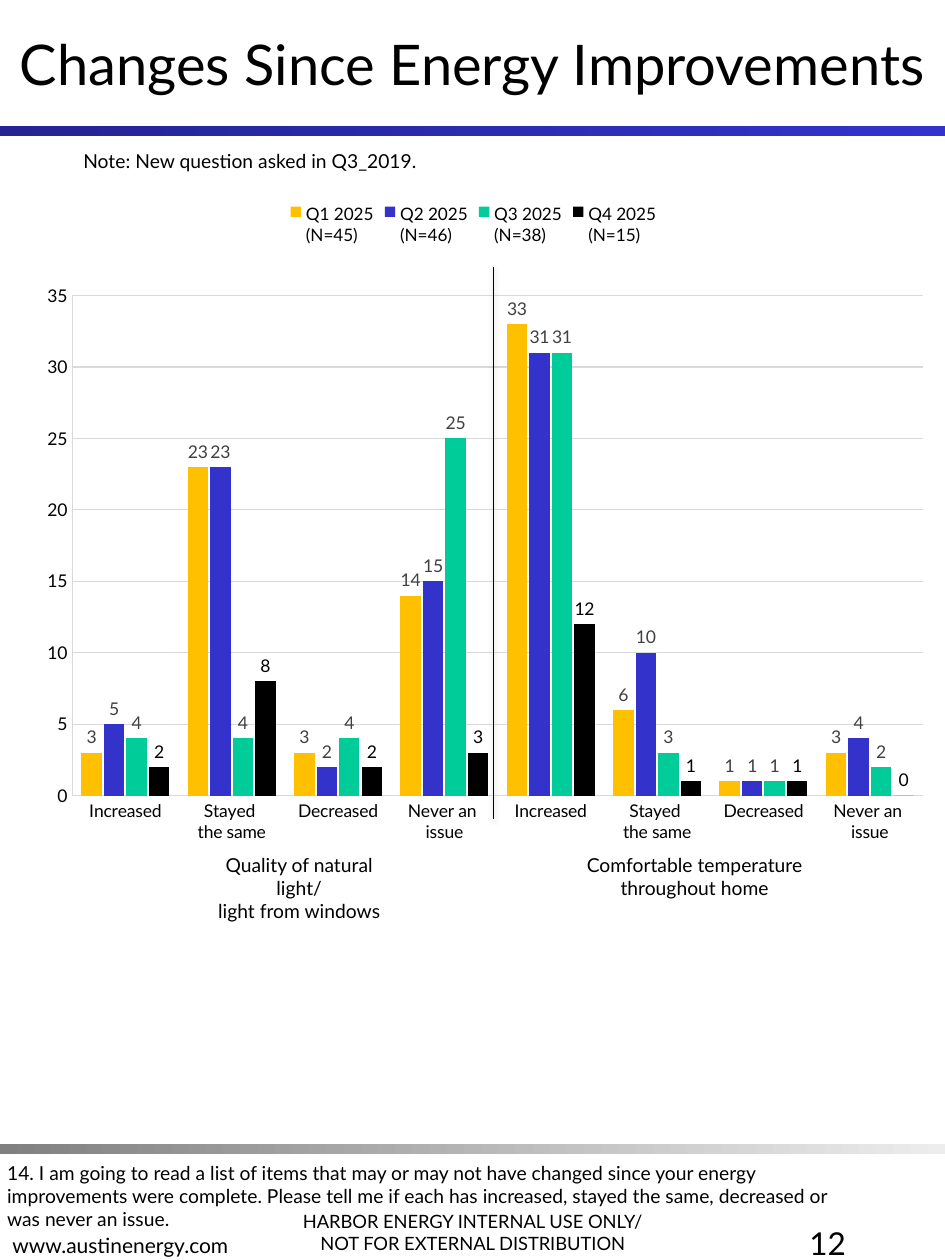
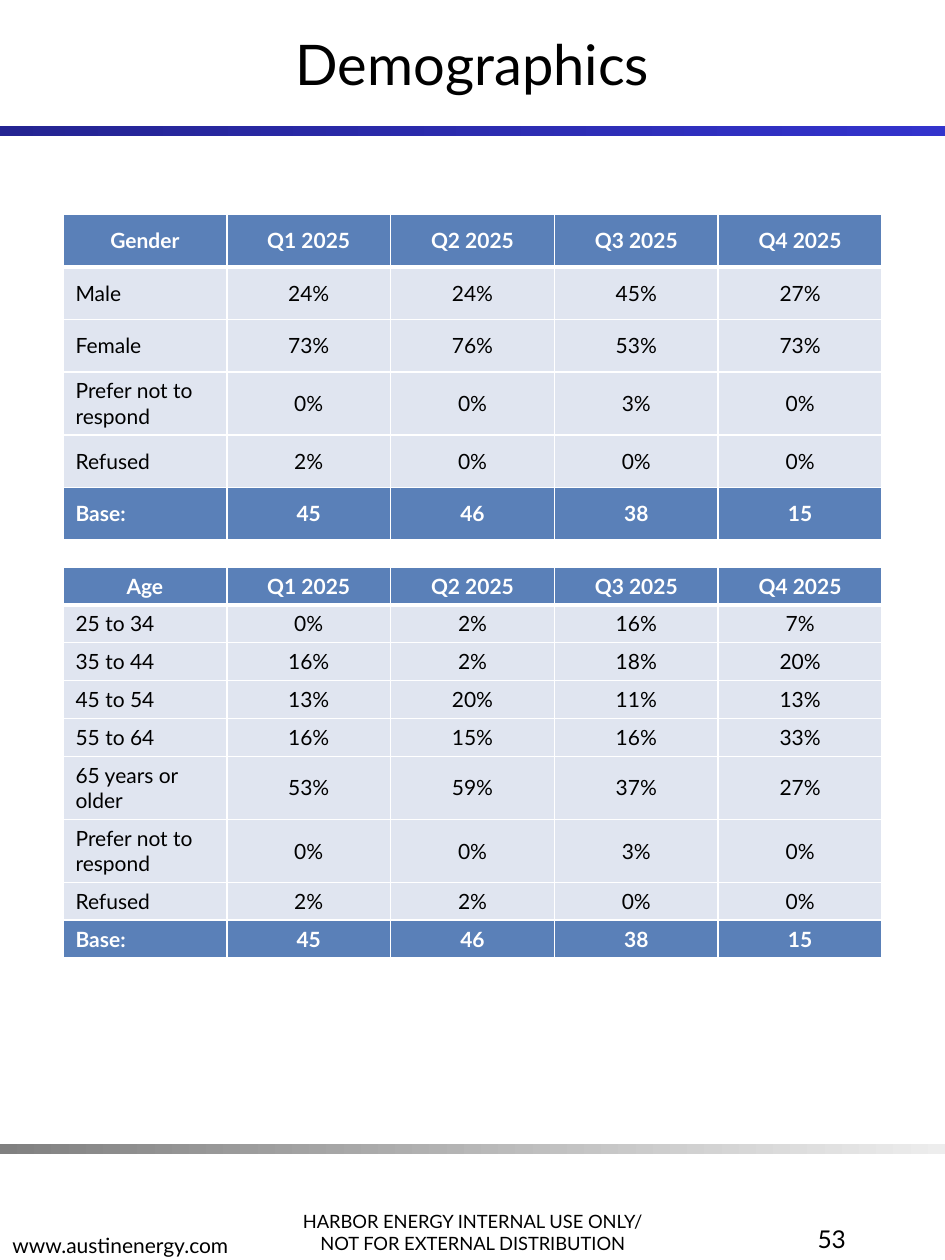
from dataclasses import dataclass

from lxml.etree import SubElement
from pptx import Presentation
from pptx.chart.data import CategoryChartData
from pptx.dml.color import RGBColor
from pptx.enum.chart import XL_CHART_TYPE, XL_LABEL_POSITION, XL_LEGEND_POSITION, XL_TICK_MARK
from pptx.enum.shapes import MSO_CONNECTOR, MSO_SHAPE
from pptx.enum.text import MSO_ANCHOR, PP_ALIGN
from pptx.oxml import parse_xml
from pptx.oxml.ns import nsdecls, qn
from pptx.slide import Slide
from pptx.util import Pt

FONT = "Lato"
COLORS = {
    "black": "000000",
    "white": "FFFFFF",
    "navy": "242492",
    "blue": "3333CC",
    "gray": "808080",
    "silver": "EDEDED",
    "grid": "D9D9D9",
    "label": "404040",
    "gold": "FFC000",
    "green": "00CC99",
    "table_head": "5A80B8",
    "table_body": "E0E5F0",
}
SLIDE_WIDTH, SLIDE_HEIGHT = 540, 720
QUARTERS = ["Q1 2025", "Q2 2025", "Q3 2025", "Q4 2025"]
BASES = [45, 46, 38, 15]


@dataclass
class Band:
    top: float
    start: str
    end: str


@dataclass
class TextBlock:
    lines: list[str]
    left: float
    top: float
    width: float
    height: float
    size: float
    align: PP_ALIGN = PP_ALIGN.LEFT
    anchor: MSO_ANCHOR = MSO_ANCHOR.TOP
    wrap: bool = True


@dataclass
class ChartSeries:
    values: list[int]
    color: str
    label_color: str = "label"


@dataclass
class ShareTable:
    heading: str
    top: float
    row_height: float
    shares: dict[str, list[int]]


BANDS = [Band(72, "navy", "blue"), Band(653.75, "gray", "silver")]
FOOTERS = [
    TextBlock(["HARBOR ENERGY INTERNAL USE ONLY/", "NOT FOR EXTERNAL DISTRIBUTION"],
              155.5, 672, 229.5, 48, 10.5, PP_ALIGN.CENTER, MSO_ANCHOR.BOTTOM),
    TextBlock(["www.austinenergy.com"], 0, 674, 229.5, 48, 12, anchor=MSO_ANCHOR.BOTTOM),
]
CHART_TEXTS = [
    TextBlock(["Note: New question asked in Q3_2019."], 40.5, 81.5, 463.5, 21, 11),
    TextBlock(["14. I am going to read a list of items that may or may not have changed since "
               "your energy improvements were complete. Please tell me if each has increased, "
               "stayed the same, decreased or was never an issue."], -3, 660, 493, 47.5, 11),
    TextBlock(["Quality of natural light/", "light from windows"],
              114, 484, 114, 32.5, 11, PP_ALIGN.CENTER, wrap=False),
    TextBlock(["Comfortable temperature", "throughout home"],
              328, 484, 138, 43, 11, PP_ALIGN.CENTER, wrap=False),
]
ANSWERS = ["Increased", "Stayed \nthe same", "Decreased", "Never an \nissue"]
CHART_SERIES = [
    ChartSeries([3, 23, 3, 14, 33, 6, 1, 3], "gold"),
    ChartSeries([5, 23, 2, 15, 31, 10, 1, 4], "blue"),
    ChartSeries([4, 4, 4, 25, 31, 3, 1, 2], "green"),
    ChartSeries([2, 8, 2, 3, 12, 1, 1, 0], "black", "black"),
]
TABLES = [
    ShareTable("Gender", 122.5, 30, {
        "Male": [24, 24, 45, 27],
        "Female": [73, 76, 53, 73],
        "Prefer not to respond": [0, 0, 3, 0],
        "Refused": [2, 0, 0, 0],
    }),
    ShareTable("Age", 324, 20, {
        "25 to 34": [0, 2, 16, 7],
        "35 to 44": [16, 2, 18, 20],
        "45 to 54": [13, 20, 11, 13],
        "55 to 64": [16, 15, 16, 33],
        "65 years or older": [53, 59, 37, 27],
        "Prefer not to respond": [0, 0, 3, 0],
        "Refused": [2, 2, 0, 0],
    }),
]


def rgb(name: str) -> RGBColor:
    return RGBColor.from_string(COLORS[name])


def style_font(font, size: float, color: str = "black", bold: bool = False) -> None:
    font.name = FONT
    font.size = Pt(size)
    font.bold = bold
    font.color.rgb = rgb(color)


def style_line(line, color: str, width: float) -> None:
    line.color.rgb = rgb(color)
    line.width = Pt(width)


# Shared slide parts
def add_text(slide: Slide, block: TextBlock) -> None:
    shape = slide.shapes.add_textbox(Pt(block.left), Pt(block.top), Pt(block.width), Pt(block.height))
    frame = shape.text_frame
    frame.word_wrap = block.wrap
    frame.vertical_anchor = block.anchor
    for index, line in enumerate(block.lines):
        paragraph = frame.add_paragraph() if index else frame.paragraphs[0]
        paragraph.alignment = block.align
        run = paragraph.add_run()
        run.text = line
        style_font(run.font, block.size)


def add_band(slide: Slide, band: Band) -> None:
    shape = slide.shapes.add_shape(MSO_SHAPE.RECTANGLE, 0, Pt(band.top), Pt(SLIDE_WIDTH), Pt(6))
    shape.shadow.inherit = False
    shape.line.fill.background()
    shape.fill.gradient()
    shape.fill.gradient_angle = 0
    for stop, color in zip(shape.fill.gradient_stops, (band.start, band.end)):
        stop.color.rgb = rgb(color)


def add_page(presentation, title: str, number: str, number_size: float) -> Slide:
    slide = presentation.slides.add_slide(presentation.slide_layouts[6])
    for band in BANDS:
        add_band(slide, band)
    heading = TextBlock([title], 0, 0, SLIDE_WIDTH, 72, 32, PP_ALIGN.CENTER, MSO_ANCHOR.MIDDLE)
    page_number = TextBlock([number], 378, 696, 112.5, 48, number_size, PP_ALIGN.RIGHT)
    for block in [*FOOTERS, heading, page_number]:
        add_text(slide, block)
    return slide


# Column chart
def set_plot_layout(chart, left: float, top: float, width: float, height: float) -> None:
    plot_area = chart.element.find(".//" + qn("c:plotArea"))
    for old_layout in plot_area.findall(qn("c:layout")):
        plot_area.remove(old_layout)
    layout = parse_xml(f"<c:layout {nsdecls('c')}/>")
    manual = SubElement(layout, qn("c:manualLayout"))
    settings = {"layoutTarget": "inner", "xMode": "edge", "yMode": "edge",
                "x": left, "y": top, "w": width, "h": height}
    for tag, value in settings.items():
        SubElement(manual, qn(f"c:{tag}")).set("val", str(value))
    plot_area.insert(0, layout)


def add_changes_chart(slide: Slide) -> None:
    data = CategoryChartData()
    data.categories = ANSWERS * 2
    for quarter, base, entry in zip(QUARTERS, BASES, CHART_SERIES):
        data.add_series(f"{quarter}\n(N={base})", entry.values)
    chart = slide.shapes.add_chart(XL_CHART_TYPE.COLUMN_CLUSTERED, Pt(4.5), Pt(108),
                                   Pt(532), Pt(426), data).chart
    style_font(chart.font, 10)
    chart.has_title = False
    chart.has_legend = True
    chart.legend.position = XL_LEGEND_POSITION.TOP
    chart.legend.include_in_layout = False
    style_font(chart.legend.font, 9.8)
    set_plot_layout(chart, 0.069, 0.143, 0.914, 0.671)

    for axis, width in ((chart.category_axis, 0.62), (chart.value_axis, 0.41)):
        axis.major_tick_mark = axis.minor_tick_mark = XL_TICK_MARK.NONE
        style_font(axis.tick_labels.font, 10)
        style_line(axis.format.line, "grid", width)
    chart.value_axis.minimum_scale = 0
    chart.value_axis.maximum_scale = 35
    chart.value_axis.major_unit = 5
    style_line(chart.value_axis.major_gridlines.format.line, "grid", 0.62)

    plot = chart.plots[0]
    plot.gap_width = 90
    plot.overlap = -10
    plot.vary_by_categories = False
    for series, entry in zip(plot.series, CHART_SERIES):
        series.format.fill.solid()
        series.format.fill.fore_color.rgb = rgb(entry.color)
        labels = series.data_labels
        labels.show_value = True
        labels.position = XL_LABEL_POSITION.OUTSIDE_END
        style_font(labels.font, 10, entry.label_color)


def add_topic_divider(slide: Slide) -> None:
    divider = slide.shapes.add_connector(MSO_CONNECTOR.STRAIGHT, Pt(282), Pt(152.5), Pt(282), Pt(468))
    style_line(divider.line, "black", 0.25)
    divider.element.spPr.append(parse_xml(
        f'<a:effectLst {nsdecls("a")}><a:outerShdw blurRad="{Pt(3.1)}" dist="{Pt(1.6)}" '
        f'dir="5400000" rotWithShape="0"><a:srgbClr val="{COLORS["black"]}">'
        '<a:alpha val="38000"/></a:srgbClr></a:outerShdw></a:effectLst>'))


# Demographic tables
def set_borders(cell, top: float, bottom: float) -> None:
    properties = cell._tc.get_or_add_tcPr()
    for index, (side, width) in enumerate({"L": 1, "R": 1, "T": top, "B": bottom}.items()):
        properties.insert(index, parse_xml(
            f'<a:ln{side} {nsdecls("a")} w="{Pt(width)}"><a:solidFill>'
            f'<a:srgbClr val="{COLORS["white"]}"/></a:solidFill></a:ln{side}>'))


def add_share_table(slide: Slide, spec_table: ShareTable) -> None:
    rows = [[spec_table.heading, *QUARTERS]]
    rows += [[answer, *(f"{share}%" for share in shares)]
             for answer, shares in spec_table.shares.items()]
    rows.append(["Base:", *map(str, BASES)])
    last = len(rows) - 1
    table = slide.shapes.add_table(len(rows), len(rows[0]), Pt(36), Pt(spec_table.top),
                                   Pt(468), Pt(spec_table.row_height * len(rows))).table
    table.horz_banding = False
    for row_index, texts in enumerate(rows):
        table.rows[row_index].height = Pt(spec_table.row_height)
        strong = row_index in (0, last)
        for column_index, text in enumerate(texts):
            cell = table.cell(row_index, column_index)
            cell.vertical_anchor = MSO_ANCHOR.MIDDLE
            cell.fill.solid()
            cell.fill.fore_color.rgb = rgb("table_head" if strong else "table_body")
            set_borders(cell, 3 if row_index == 1 else 1, 3 if row_index == 0 else 1)
            paragraph = cell.text_frame.paragraphs[0]
            centered = row_index == 0 or column_index > 0
            paragraph.alignment = PP_ALIGN.CENTER if centered else PP_ALIGN.LEFT
            run = paragraph.add_run()
            run.text = text
            style_font(run.font, 12, "white" if strong else "black", strong)


def main() -> None:
    presentation = Presentation()
    presentation.slide_width = Pt(SLIDE_WIDTH)
    presentation.slide_height = Pt(SLIDE_HEIGHT)

    # Changes since improvements
    changes = add_page(presentation, "Changes Since Energy Improvements", "12", 18)
    add_changes_chart(changes)
    for block in CHART_TEXTS:
        add_text(changes, block)
    add_topic_divider(changes)

    # Demographics
    demographics = add_page(presentation, "Demographics", "53", 14)
    for share_table in TABLES:
        add_share_table(demographics, share_table)

    presentation.save("out.pptx")


if __name__ == "__main__":
    main()
